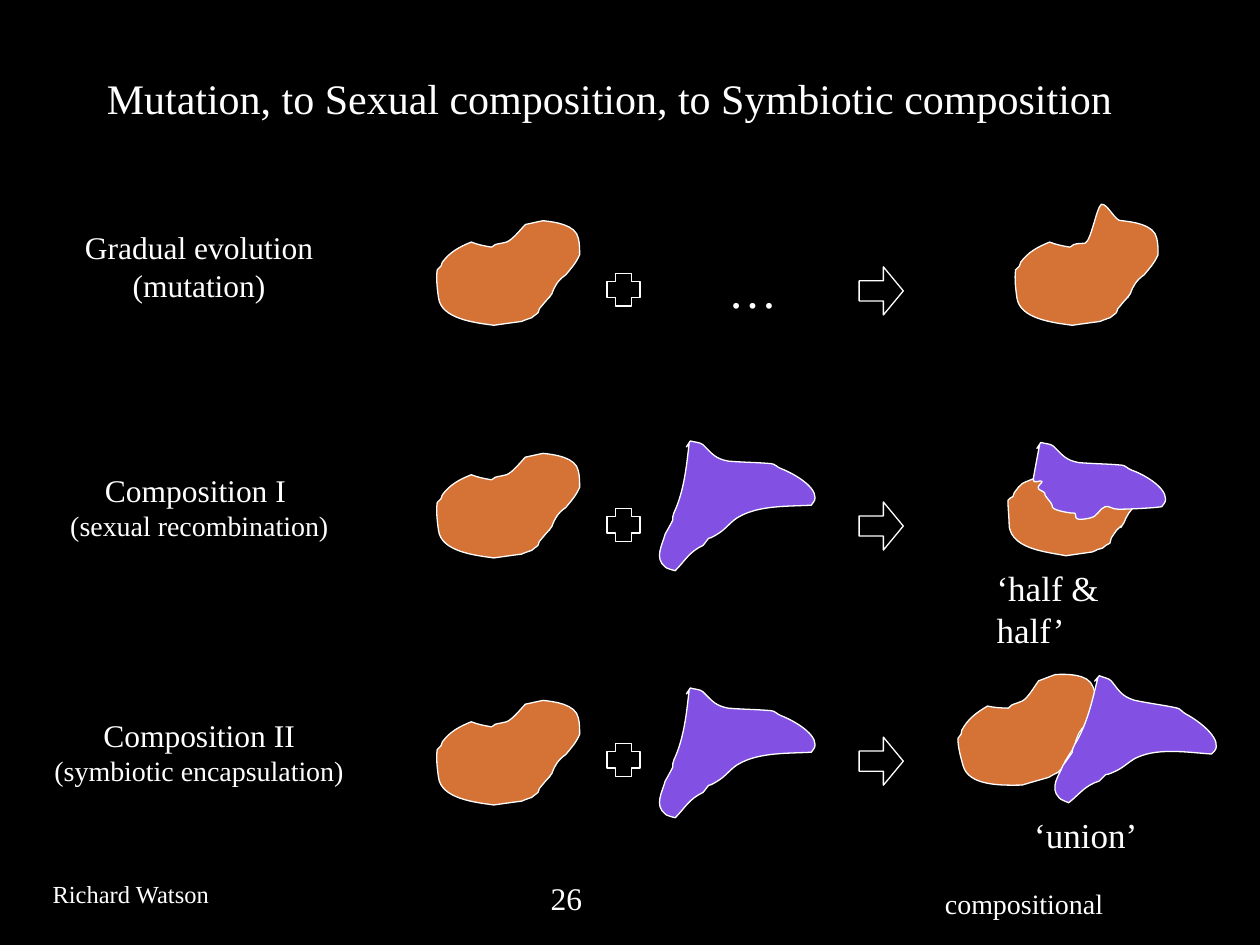
from dataclasses import dataclass

from lxml import etree
from pptx import Presentation
from pptx.dml.color import RGBColor
from pptx.enum.shapes import MSO_SHAPE
from pptx.enum.text import MSO_ANCHOR, MSO_AUTO_SIZE, PP_ALIGN
from pptx.oxml.ns import qn
from pptx.util import Cm, Pt

PLUS, ARROW = MSO_SHAPE.CROSS, MSO_SHAPE.RIGHT_ARROW
LEFT, CENTER = PP_ALIGN.LEFT, PP_ALIGN.CENTER
MIDDLE = MSO_ANCHOR.MIDDLE
NO_AUTOFIT = MSO_AUTO_SIZE.NONE
FONT = "Times New Roman"
WHITE, BLACK, ORANGE, PURPLE = "FFFFFF", "000000", "D57235", "8251E3"
OUTLINE_UNIT = Cm(0.0254)

BLOB_BODY = (
    (44, 21), (38, 20), (33, 19), (28, 17), (18, 21), (11, 25), (5, 33),
    (5, 34), (5, 35), (4, 36), (3, 38), (1, 38), (1, 39),
    (0, 46), (1, 54), (2, 61), (4, 78), (31, 81), (46, 83),
    (53, 82), (60, 81), (68, 80), (70, 79), (73, 78), (76, 77),
    (77, 76), (80, 74), (81, 73), (82, 72), (82, 71), (82, 70),
    (84, 68), (85, 66), (87, 64), (96, 54), (85, 67), (92, 58),
    (94, 52), (97, 47), (103, 43), (107, 38), (111, 34), (114, 27),
    (114, 23), (114, 18), (113, 14), (111, 3), (94, 1), (85, 0),
)
SMOOTH_CREST = ((80, 1), (76, 2), (71, 3), (67, 7), (61, 15), (56, 17))
SPIKED_CREST = ((80, 1), (74, -14), (69, -13), (65, -10), (61, 16), (56, 18))
BLOB_END = ((53, 18), (50, 18), (47, 19), (46, 20), (44, 21), (44, 21))
BLOB = BLOB_BODY + SMOOTH_CREST + BLOB_END
MUTANT = BLOB_BODY + SPIKED_CREST + BLOB_END
WEDGE = (
    (28, 2), (26, 20), (24, 40), (16, 57), (15, 59), (15, 61), (15, 63),
    (13, 67), (9, 74), (9, 74), (7, 82), (0, 93), (9, 100),
    (9, 101), (17, 103), (17, 103), (25, 95), (28, 88), (39, 83),
    (48, 72), (38, 82), (52, 73), (58, 69), (62, 63), (68, 60),
    (84, 51), (107, 52), (125, 51), (126, 49), (128, 48), (128, 45),
    (128, 35), (109, 25), (101, 22), (98, 21), (96, 18), (93, 18),
    (82, 17), (70, 17), (59, 16), (49, 14), (47, 11), (39, 3),
    (37, 1), (32, 1), (29, 0), (25, 6), (25, 6), (28, 2),
)
HALF_BLOB = (
    (33, 2), (28, 0), (25, 11), (20, 10), (10, 14), (11, 13), (5, 21),
    (4, 22), (4, 23), (4, 24), (3, 25), (1, 25), (0, 27),
    (0, 34), (1, 41), (1, 48), (4, 66), (31, 68), (46, 71),
    (53, 70), (60, 69), (67, 68), (70, 67), (72, 65), (75, 65),
    (77, 63), (79, 62), (81, 61), (82, 60), (81, 58), (82, 57),
    (83, 55), (85, 53), (86, 51), (96, 41), (85, 55), (92, 45),
    (94, 40), (97, 34), (102, 31), (107, 25), (92, 21), (95, 15),
    (95, 10), (95, 21), (94, 17), (92, 6), (79, 10), (69, 10),
    (65, 10), (73, 11), (68, 12), (64, 16), (61, 3), (56, 5),
    (53, 6), (50, 6), (47, 7), (46, 7), (33, 2), (33, 2),
)
HALF_WEDGE = (
    (5, 2), (4, 7), (1, 23), (0, 29), (0, 34), (6, 29), (7, 31),
    (7, 32), (3, 35), (4, 36), (4, 38), (7, 38), (9, 40),
    (8, 42), (15, 48), (15, 50), (13, 54), (30, 56), (30, 56),
    (39, 55), (26, 64), (45, 60), (50, 60), (53, 52), (57, 51),
    (61, 50), (61, 53), (68, 53), (76, 53), (96, 52), (102, 51),
    (103, 49), (105, 48), (105, 45), (105, 35), (87, 25), (78, 22),
    (75, 21), (73, 18), (70, 18), (59, 17), (48, 17), (36, 16),
    (26, 14), (24, 11), (16, 3), (14, 1), (9, 1), (6, 0),
    (2, 6), (2, 6), (5, 2),
)


@dataclass(frozen=True)
class Organism:
    outline: tuple
    color: str
    left: float
    top: float
    rotation: float = 0


@dataclass(frozen=True)
class Caption:
    left: float
    top: float
    width: float
    height: float
    lines: tuple
    align: int = LEFT
    wrap: bool = False


ORGANISMS = (
    Organism(BLOB, ORANGE, 8.79, 4.45),
    Organism(MUTANT, ORANGE, 20.45, 4.45),
    Organism(BLOB, ORANGE, 8.79, 9.14),
    Organism(WEDGE, PURPLE, 13.18, 8.89),
    Organism(HALF_BLOB, ORANGE, 20.32, 9.4),
    Organism(HALF_WEDGE, PURPLE, 20.83, 8.92),
    Organism(BLOB, ORANGE, 8.79, 14.12),
    Organism(WEDGE, PURPLE, 13.18, 13.87),
    Organism(BLOB, ORANGE, 19.28, 13.69, -8.3),
    Organism(WEDGE, PURPLE, 21.26, 13.72, 6.9),
)
CAPTIONS = (
    Caption(0.69, 4.47, 6.65, 1.78, (("Gradual evolution", 18), ("(mutation)", 18)), CENTER, True),
    Caption(0.91, 9.37, 6.22, 1.7, (("Composition I ", 18), ("(sexual recombination)", 16)), CENTER, True),
    Caption(-0.15, 14.3, 8.33, 1.7, (("Composition II", 18), ("(symbiotic encapsulation)", 16)), CENTER, True),
    Caption(14.43, 5.11, 1.5, 1.45, (("…", 28),)),
    Caption(19.84, 11.3, 2.92, 1.95, (("‘half & half’", 20),), wrap=True),
    Caption(20.6, 16.28, 2.59, 1.12, (("‘union’", 20),)),
    Caption(0.81, 17.6, 3.71, 0.86, (("Richard Watson", 14),)),
    Caption(10.85, 17.6, 3.15, 1.02, (("26", 18),)),
    Caption(18.8, 17.75, 7.19, 0.91, (("compositional", 16),), wrap=True),
)
FIRST_OPERATOR_TOP, ROW_STEP = 5.51, 4.74


def rgb(color: str) -> RGBColor:
    return RGBColor.from_string(color)


def outline_white(shape) -> None:
    shape.shadow.inherit = False
    shape.line.color.rgb = rgb(WHITE)
    shape.line.width = Pt(0.75)


def add_run(paragraph, text: str, size: int) -> None:
    run = paragraph.add_run()
    run.text = text
    run.font.name = FONT
    run.font.size = Pt(size)
    run.font.color.rgb = rgb(WHITE)


def curve_segments(shape) -> None:
    path = shape.element.find(".//" + qn("a:path"))
    segments = path.findall(qn("a:lnTo"))
    for index in range(0, len(segments), 3):
        curve = etree.Element(qn("a:cubicBezTo"))
        segments[index].addprevious(curve)
        for segment in segments[index:index + 3]:
            curve.append(segment[0])
            path.remove(segment)


def draw_organism(slide, organism: Organism) -> None:
    start, *controls = organism.outline
    builder = slide.shapes.build_freeform(*start, scale=OUTLINE_UNIT)
    builder.add_line_segments(controls, close=True)
    shape = builder.convert_to_shape(Cm(organism.left), Cm(organism.top))
    curve_segments(shape)
    shape.fill.solid()
    shape.fill.fore_color.rgb = rgb(organism.color)
    outline_white(shape)
    shape.rotation = organism.rotation


def draw_operator(slide, kind, left: float, top: float, width: float, height: float, adjustments: tuple) -> None:
    operator = slide.shapes.add_shape(kind, Cm(left), Cm(top), Cm(width), Cm(height))
    for index, value in enumerate(adjustments):
        operator.adjustments[index] = value
    operator.fill.background()
    outline_white(operator)


def draw_caption(slide, caption: Caption) -> None:
    box = slide.shapes.add_textbox(Cm(caption.left), Cm(caption.top), Cm(caption.width), Cm(caption.height))
    frame = box.text_frame
    frame.word_wrap = caption.wrap
    for index, (text, size) in enumerate(caption.lines):
        paragraph = frame.add_paragraph() if index else frame.paragraphs[0]
        paragraph.alignment = caption.align
        add_run(paragraph, text, size)


def draw_title(slide, text: str) -> None:
    title = slide.shapes.title
    title.left, title.top, title.width, title.height = Cm(1.9), Cm(1.04), Cm(21.59), Cm(1.85)
    frame = title.text_frame
    frame.auto_size = NO_AUTOFIT
    frame.vertical_anchor = MIDDLE
    frame.paragraphs[0].alignment = LEFT
    add_run(frame.paragraphs[0], text, 24)


def main() -> None:
    presentation = Presentation()
    presentation.slide_width, presentation.slide_height = Cm(25.4), Cm(19.05)
    slide = presentation.slides.add_slide(presentation.slide_layouts[5])
    slide.background.fill.solid()
    slide.background.fill.fore_color.rgb = rgb(BLACK)
    draw_title(slide, "Mutation, to Sexual composition, to Symbiotic composition")
    for organism in ORGANISMS:
        draw_organism(slide, organism)
    for row in range(3):
        top = FIRST_OPERATOR_TOP + row * ROW_STEP
        draw_operator(slide, PLUS, 12.24, top, 0.66, 0.66, (0.25,))
        draw_operator(slide, ARROW, 17.32, top - 0.13, 0.89, 0.97, (0.42, 0.45))
    for caption in CAPTIONS:
        draw_caption(slide, caption)
    presentation.save("out.pptx")


if __name__ == "__main__":
    main()
